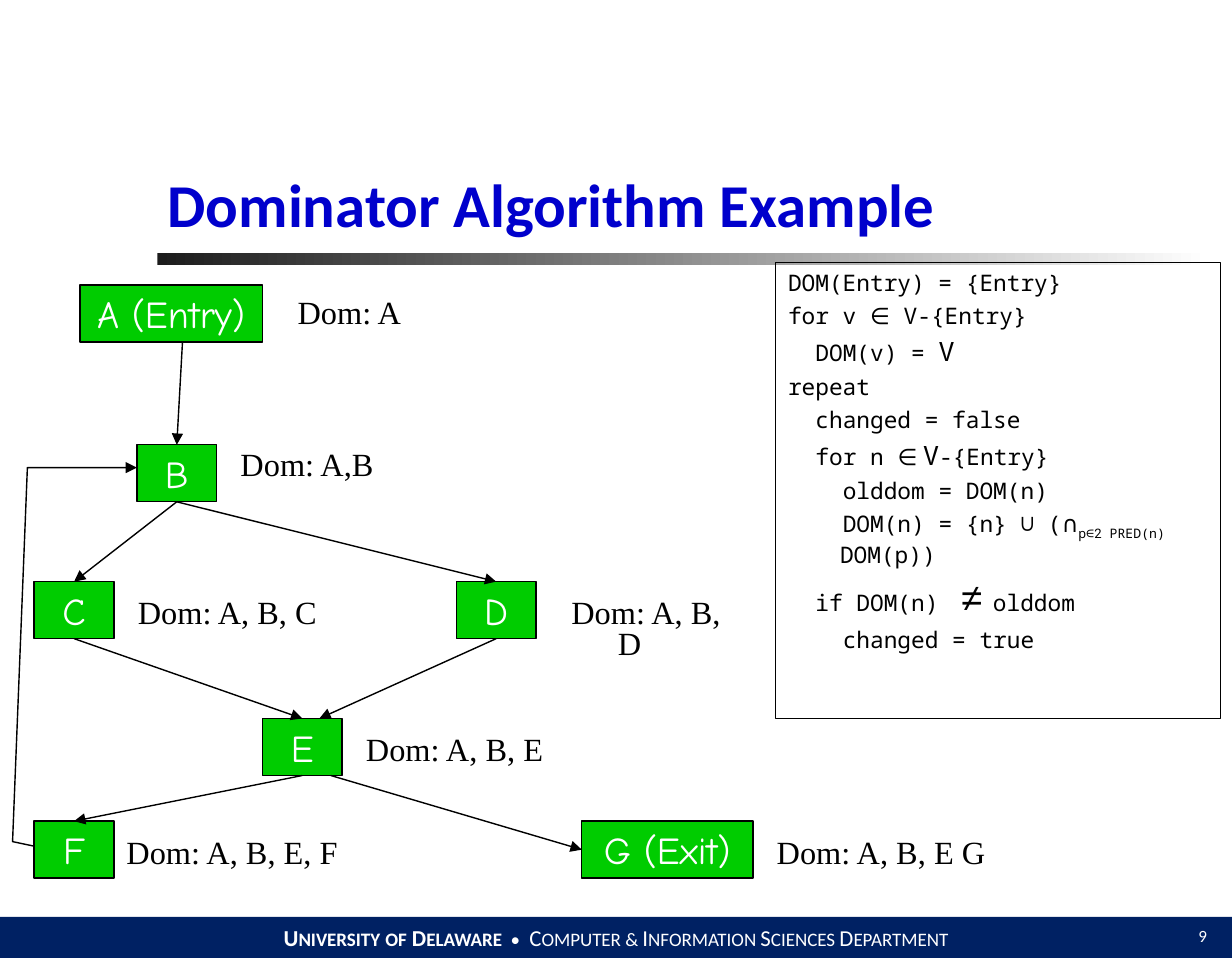
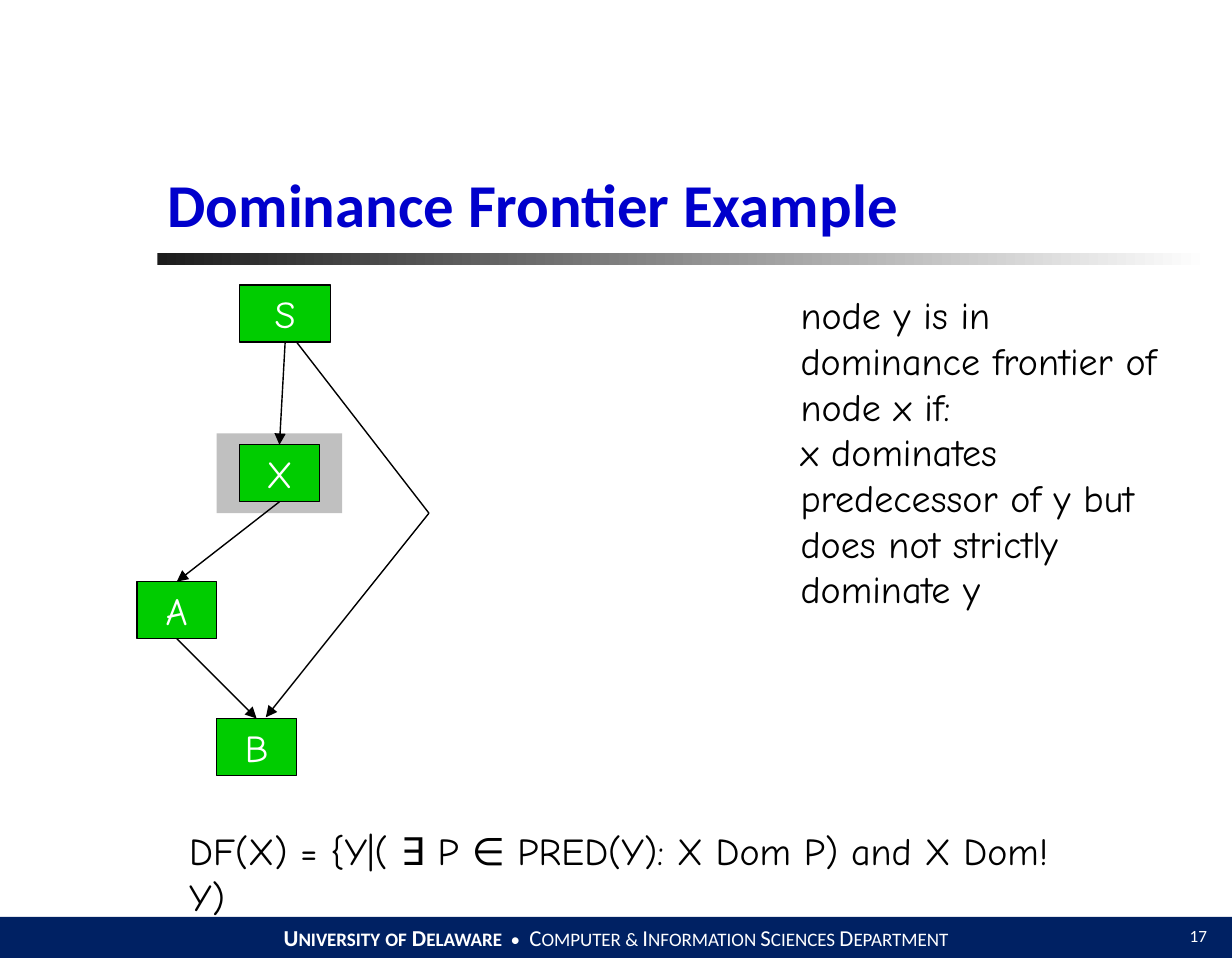
"""Build two slides on dominators with flow graphs, on a grid of twelfths of an inch."""
from dataclasses import dataclass, replace
from typing import NamedTuple

from lxml.etree import SubElement
from pptx import Presentation
from pptx.dml.color import RGBColor
from pptx.enum.shapes import MSO_CONNECTOR as Wire, MSO_SHAPE as Form
from pptx.enum.text import MSO_ANCHOR as Anchor, MSO_AUTO_SIZE as Fit, PP_ALIGN as Align
from pptx.oxml.ns import qn
from pptx.shapes.autoshape import Shape
from pptx.slide import Slide
from pptx.util import Emu, Inches, Pt

COLS, ROWS = 108, 84
CELL = Inches(1) / 12
BLACK, WHITE, BLUE, NAVY = "000000", "FFFFFF", "0000CC", "002163"
GREEN, GRAY, DARK = "00CC00", "C0C0C0", "1C1C1C"
MONO, COMIC, SYMBOL = "Noto Sans Mono", "Comic Neue", "Roboto"


class Box(NamedTuple):
    x: float
    y: float
    w: float
    h: float


class Bit(NamedTuple):
    text: str
    size: float | None = None
    font: str | None = None
    bold: bool | None = None
    sub: bool = False


class Row(NamedTuple):
    bits: tuple[Bit, ...]
    level: int = 0


class Link(NamedTuple):
    start: str
    out: int
    end: str
    into: int
    slip: float = 0
    land: float = 0


class Note(NamedTuple):
    text: str
    box: Box
    gap: float = 0.8


@dataclass(frozen=True)
class Style:
    font: str
    size: float
    color: str = BLACK
    bold: bool = False
    align: Align = Align.LEFT
    anchor: Anchor = Anchor.TOP
    before: float = 0
    gap: float = 1
    hang: float = 0
    inset: float = 0.1
    wrap: bool = True


TITLE = Style("Calibri", 32, BLUE, True, anchor=Anchor.BOTTOM, inset=0.09)
FOOT = Style("Calibri", 10, WHITE, align=Align.CENTER, anchor=Anchor.MIDDLE)
PAGE = replace(FOOT, size=9, align=Align.RIGHT)
NODE = Style(COMIC, 20, WHITE, align=Align.CENTER, anchor=Anchor.MIDDLE, wrap=False)
LABEL = Style("Times New Roman", 17, before=4.2, hang=0.34, inset=0.09)
CODE = Style(MONO, 12, before=3, hang=0.38, inset=0.09)
PROSE = Style(COMIC, 20, before=5)

FOOTER = Row((
    Bit("U", 12, bold=True), Bit("NIVERSITY", bold=True), Bit(" ", 12, bold=True),
    Bit("OF", bold=True), Bit(" D", 12, bold=True), Bit("ELAWARE  ", bold=True),
    Bit("• "), Bit(" C", 12), Bit("OMPUTER & "), Bit("I", 12), Bit("NFORMATION "),
    Bit("S", 12), Bit("CIENCES "), Bit("D", 12), Bit("EPARTMENT"),
))

LOOP = [
    Row((Bit("DOM(Entry) = {Entry}"),)),
    Row((Bit("for v "), Bit("∈", font=SYMBOL), Bit(" V-{Entry}"))),
    Row((Bit("DOM(v) = "), Bit("V", 14)), 1),
    Row((Bit("repeat"),)),
    Row((Bit("changed = false"),), 1),
    Row((Bit("for n "), Bit("∈ ", font=SYMBOL), Bit("V", 14), Bit("-{Entry}")), 1),
    Row((Bit("olddom = DOM(n)"),), 2),
    Row((Bit("DOM(n) = {n} ∪ ("), Bit("∩", font=SYMBOL), Bit("p∈", sub=True),
         Bit("2", font=SYMBOL, sub=True), Bit(" PRED(n)", sub=True), Bit(" DOM(p))")), 2),
    Row((Bit("if DOM(n)"), Bit(" ", 20), Bit("≠ ", 20, "Arial"), Bit("olddom")), 1),
    Row((Bit("changed = true"),), 2),
]

FLOW = {
    "A (Entry)": Box(7, 25, 16, 5), "B": Box(12, 39, 7, 5), "C": Box(3, 51, 7, 5),
    "D": Box(40, 51, 7, 5), "E": Box(23, 63, 7, 5), "F": Box(3, 72, 7, 5),
    "G (Exit)": Box(51, 72, 15, 5),
}
FLOW_LINKS = [
    Link("A (Entry)", 2, "B", 0, slip=1), Link("B", 2, "C", 0), Link("B", 2, "D", 0),
    Link("C", 2, "E", 0), Link("D", 2, "E", 0, land=1.5), Link("E", 2, "F", 0),
    Link("E", 2, "G (Exit)", 1, slip=2.5),
]
NOTES = [
    Note("Dom: A", Box(25, 25, 16, 11), 1), Note("Dom: A,B", Box(20, 39, 21, 11)),
    Note("Dom: A, B, C", Box(11, 52, 22, 11)), Note("Dom: A, B, D", Box(49, 52, 18, 11)),
    Note("Dom: A, B, E", Box(31, 64, 24, 11)), Note("Dom: A, B, E, F", Box(10, 73, 24, 8)),
    Note("Dom: A, B, E G", Box(67, 73, 27, 7)),
]
FRONT = {
    "S": Box(21, 25, 8, 5), "X": Box(21, 39, 7, 5),
    "A": Box(12, 51, 7, 5), "B": Box(19, 63, 7, 5),
}
FRONT_LINKS = [Link("S", 2, "X", 0), Link("X", 2, "A", 0), Link("A", 2, "B", 0)]


def rgb(code: str) -> RGBColor:
    """Turn a hex string into a colour."""
    return RGBColor.from_string(code)


def span(cells: float) -> Emu:
    """Turn grid cells into a length."""
    return Emu(round(cells * CELL))


def write(shape: Shape, rows: list[Row], style: Style) -> None:
    """Fill a shape with rows of styled text."""
    frame = shape.text_frame
    frame.auto_size = Fit.NONE
    frame.word_wrap = style.wrap
    frame.vertical_anchor = style.anchor
    frame.margin_left = frame.margin_right = Inches(style.inset)
    frame.margin_top = frame.margin_bottom = Inches(0.05)
    for spot, row in enumerate(rows):
        par = frame.add_paragraph() if spot else frame.paragraphs[0]
        par.alignment = style.align
        par.space_before = Pt(style.before)
        par.line_spacing = style.gap
        if style.hang:
            props = par._p.get_or_add_pPr()
            props.set("marL", str(Inches(style.hang)))
            props.set("indent", str(Inches(0.2 * row.level - style.hang)))
        for bit in row.bits:
            done = len(par.runs)
            if done:
                par.add_run().text = bit.text
            else:
                par.text = bit.text
            for run in par.runs[done:]:
                font = run.font
                font.name = bit.font or style.font
                font.size = Pt(bit.size or style.size)
                font.bold = style.bold if bit.bold is None else bit.bold
                font.color.rgb = rgb(style.color)
                if bit.sub:
                    run._r.get_or_add_rPr().set("baseline", "-25000")


def plain(text: str) -> list[Row]:
    """Wrap one string as a single row."""
    return [Row((Bit(text),))]


def block(slide: Slide, box: Box, fill: str | None = None, edge: float = 0) -> Shape:
    """Draw a rectangle with an optional fill and black edge."""
    shape = slide.shapes.add_shape(Form.RECTANGLE, *map(span, box))
    shape.shadow.inherit = False
    if fill:
        shape.fill.solid()
        shape.fill.fore_color.rgb = rgb(fill)
    else:
        shape.fill.background()
    if edge:
        shape.line.color.rgb = rgb(BLACK)
        shape.line.width = Pt(edge)
    else:
        shape.line.fill.background()
    return shape


def label(slide: Slide, box: Box, text: str, style: Style) -> None:
    """Place a text box."""
    write(slide.shapes.add_textbox(*map(span, box)), plain(text), style)


def arrow(shape: Shape) -> None:
    """Give a line its black stroke and arrowhead, and no shadow."""
    shape.line.color.rgb = rgb(BLACK)
    shape.line.width = Pt(0.75)
    props = shape._element.spPr
    SubElement(props.find(qn("a:ln")), qn("a:tailEnd"), type="triangle")
    SubElement(props, qn("a:effectLst"))


def side(box: Box, site: int) -> tuple[float, float]:
    """Find the middle of a side: 0 top, 1 left, 2 bottom, 3 right."""
    x, y, w, h = box
    return ((x + w / 2, y), (x, y + h / 2), (x + w / 2, y + h), (x + w, y + h / 2))[site]


def graph(slide: Slide, nodes: dict[str, Box], links: list[Link]) -> None:
    """Draw nodes and the arrows between them."""
    made = {}
    for name, box in nodes.items():
        made[name] = block(slide, box, GREEN, 0.75)
        write(made[name], plain(name), NODE)
    for link in links:
        x, y = side(nodes[link.start], link.out)
        u, v = side(nodes[link.end], link.into)
        ends = (x + link.slip, y, u + link.land, v)
        wire = slide.shapes.add_connector(Wire.STRAIGHT, *map(span, ends))
        if not link.slip:
            wire.begin_connect(made[link.start], link.out)
        if not link.land:
            wire.end_connect(made[link.end], link.into)
        arrow(wire)


def bend(slide: Slide, *points: tuple[float, float]) -> None:
    """Draw an arrow through several points."""
    first, *rest = [(span(x), span(y)) for x, y in points]
    path = slide.shapes.build_freeform(*first)
    path.add_line_segments(rest, close=False)
    shape = path.convert_to_shape()
    shape.fill.background()
    arrow(shape)


def start(deck: Presentation, title: str, page: int) -> Slide:
    """Add a slide with its title, band and footer."""
    slide = deck.slides.add_slide(deck.slide_layouts[5])
    band = block(slide, Box(13.8, 22.2, 92.2, 1), DARK)
    band.fill.gradient()
    band.fill.gradient_angle = 0
    for stop, code in zip(band.fill.gradient_stops, (DARK, WHITE)):
        stop.color.rgb = rgb(code)
    write(block(slide, Box(0, 80.4, COLS, 3.6), NAVY), [FOOTER], FOOT)
    label(slide, Box(99, 80, 8, 4), str(page), PAGE)
    head = slide.shapes.title
    head.left, head.top, head.width, head.height = map(span, (13.6, 7.6, 92, 14))
    write(head, plain(title), TITLE)
    return slide


def main() -> None:
    """Build and save the deck."""
    deck = Presentation()
    deck.slide_width, deck.slide_height = span(COLS), span(ROWS)

    slide = start(deck, "Dominator Algorithm Example", 9)
    graph(slide, FLOW, FLOW_LINKS)
    bend(slide, (3, 74.2), (1.1, 73.8), (2.4, 41), (12, 41))
    for note in NOTES:
        label(slide, note.box, note.text, replace(LABEL, gap=note.gap))
    write(block(slide, Box(68, 23, 39, 40), edge=0.25), LOOP, CODE)

    slide = start(deck, "Dominance Frontier Example", 17)
    block(slide, Box(19, 38, 11, 7), GRAY)
    graph(slide, FRONT, FRONT_LINKS)
    bend(slide, (26, 30), (37.6, 45), (23.3, 62.9))
    label(slide, Box(15.4, 72, 80, 5.3),
          "DF(X) = {Y|( ∃ P ∈ PRED(Y): X Dom P) and X Dom! Y)", PROSE)
    label(slide, Box(69, 25, 35, 29.3),
          "node y is in dominance frontier of node x if:\n"
          "x dominates predecessor of y but does not strictly dominate y", PROSE)

    deck.save("out.pptx")


if __name__ == "__main__":
    main()
